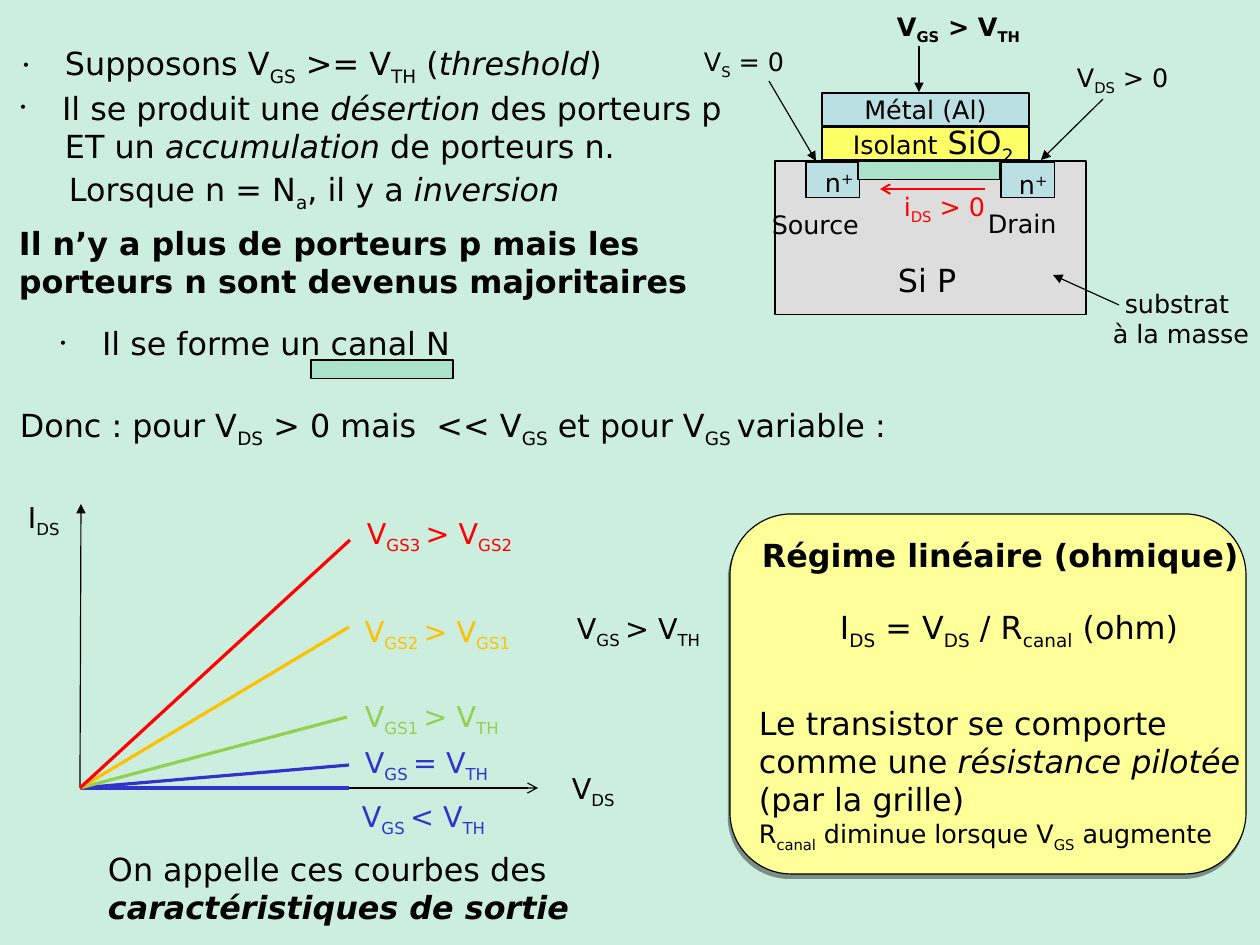
from lxml.etree import SubElement
from pptx import Presentation
from pptx.dml.color import RGBColor
from pptx.enum.shapes import MSO_CONNECTOR as Link, MSO_SHAPE as Preset
from pptx.enum.text import MSO_ANCHOR as Anchor, MSO_AUTO_SIZE as AutoSize, PP_ALIGN as Align
from pptx.oxml.ns import qn
from pptx.util import Emu, Pt

PX = 8000
FONT = "DejaVu Sans"
BLACK, RED, BLUE, GREEN, AMBER = "000000", "FF0000", "3333CC", "92D050", "FFC000"
METAL, CHANNEL = "BBE0E3", "AAE2CA"
MARKS = {"*": "italic", "~": "sub", "^": "super", "#": "large"}
BULLET = dict(margin=43, hanging=43, bullet=True)


def px(*lengths):
    return [Emu(length * PX) for length in lengths]


def color(hex_code):
    return RGBColor.from_string(hex_code)


def assign(target, values):
    for name, value in values.items():
        setattr(target, name, value)


def add_node(parent, tag, **values):
    return SubElement(parent, qn(tag), values)


def split_marks(markup):
    """Yield (text, active formats); each mark switches its format on or off."""
    active, text = set(), ""
    for letter in markup:
        if letter not in MARKS:
            text += letter
            continue
        if text:
            yield text, set(active)
        active ^= {MARKS[letter]}
        text = ""
    if text:
        yield text, active


class Painter:
    def __init__(self, page):
        self.page = page
        self.shapes = page.shapes

    def fill_text(self, box, paragraphs, anchor=Anchor.TOP, wrap=True, **style):
        """Fill a shape with marked-up paragraphs, each a string or (string, style)."""
        frame = box.text_frame
        side, end = px(11, 6)
        assign(frame, dict(word_wrap=wrap, auto_size=AutoSize.NONE, vertical_anchor=anchor,
                           margin_left=side, margin_right=side,
                           margin_top=end, margin_bottom=end))
        for index, item in enumerate(paragraphs):
            markup, own = (item, {}) if isinstance(item, str) else item
            para = frame.add_paragraph() if index else frame.paragraphs[0]
            self.fill_para(para, markup, **{**style, **own})

    def fill_para(self, para, markup, size=16, bold=False, ink=BLACK, align=Align.LEFT,
                  spacing=1.0, before=0, margin=0, hanging=0, bullet=False):
        assign(para, dict(alignment=align, line_spacing=spacing,
                          space_before=Pt(before), space_after=Pt(0)))
        props = para._p.get_or_add_pPr()
        props.set("marL", str(margin * PX))
        props.set("indent", str(-hanging * PX))
        if bullet:
            add_node(add_node(props, "a:buClr"), "a:srgbClr", val=BLACK)
            add_node(props, "a:buSzPct", val="45000")
            add_node(props, "a:buFont", typeface=FONT)
            add_node(props, "a:buChar", char="•")
        else:
            add_node(props, "a:buNone")
        for text, formats in split_marks(markup):
            span = para.add_run()
            span.text = text
            assign(span.font, dict(name=FONT, size=Pt(20 if "large" in formats else size),
                                   bold=bold, italic="italic" in formats))
            span.font.color.rgb = color(ink)
            if "sub" in formats:
                span.font._element.set("baseline", "-25000")
            if "super" in formats:
                span.font._element.set("baseline", "30000")

    def label(self, bounds, *paragraphs, **style):
        self.fill_text(self.shapes.add_textbox(*px(*bounds)), paragraphs, **style)

    def placeholder(self, box, bounds, *paragraphs, **style):
        """Move a template placeholder to the front and fill it."""
        assign(box, dict(zip(("left", "top", "width", "height"), px(*bounds))))
        self.shapes._spTree.append(box._element)
        self.fill_text(box, paragraphs, **style)

    def block(self, bounds, fill, preset=Preset.RECTANGLE):
        box = self.shapes.add_shape(preset, *px(*bounds))
        box.shadow.inherit = False
        box.fill.solid()
        box.fill.fore_color.rgb = color(fill)
        box.line.color.rgb = color(BLACK)
        box.line.width = Pt(0.75)
        return box

    def line(self, start, end, ink=BLACK, width=0.75, head=None):
        link = self.shapes.add_connector(Link.STRAIGHT, *px(*start, *end))
        link.line.color.rgb = color(ink)
        link.line.width = Pt(width)
        if head:
            add_node(link.line._get_or_add_ln(), "a:tailEnd", type=head)
        add_node(link._element.spPr, "a:effectLst")


def draw_transistor(painter):
    painter.block((775, 161, 311, 154), "DDDDDD")
    painter.label((887, 255, 86, 50), "Si P", size=20)
    for left, text_left, text_top in ((806, 814, 161), (1001, 1008, 163)):
        painter.block((left, 162, 54, 36), METAL)
        painter.label((text_left, text_top, 56, 42), "n^+^")
    painter.block((822, 127, 207, 33), "FFFF66")
    painter.label((842, 117, 188, 55), "Isolant# SiO~2~#")
    metal = painter.block((822, 93, 207, 33), METAL)
    painter.fill_text(metal, ["Métal (Al)"], anchor=Anchor.MIDDLE, align=Align.CENTER)
    painter.label((761, 203, 115, 42), "Source")
    painter.label((977, 202, 96, 42), "Drain")
    painter.label((886, 5, 150, 47), "V~GS~ > V~TH~", bold=True)
    painter.label((693, 40, 108, 47), "V~S~ = 0")
    painter.label((1066, 56, 118, 47), "V~DS~ > 0")
    painter.label((1102, 282, 158, 73), "substrat ", "à la masse",
                  align=Align.CENTER, wrap=False)
    for start, end in (((919, 46), (919, 92)), ((769, 81), (816, 161)),
                       ((1103, 99), (1041, 160)), ((1119, 305), (1053, 275))):
        painter.line(start, end, head="triangle")
    painter.block((858, 161, 142, 19), CHANNEL)
    painter.line((985, 189), (880, 189), RED, 1.25, "arrow")
    painter.label((893, 185, 108, 47), "i~DS~ > 0", ink=RED)


def draw_reasoning(painter, bodies):
    lists = (
        ((11, 38, 606, 55), [("Supposons V~GS~ >= V~TH~ (*threshold*)", BULLET)], False),
        ((8, 83, 734, 136), [("Il se produit une *désertion* des porteurs p", BULLET),
                             ("ET un *accumulation *de porteurs n.", dict(margin=46)),
                             ("Lorsque n = N~a~, il y a* inversion*",
                              dict(margin=50, before=3))], False),
        ((8, 218, 740, 88), ["Il n’y a plus de porteurs p mais les",
                             "porteurs n sont devenus majoritaires"], True),
        ((48, 318, 430, 50), [("Il se forme un canal N", BULLET)], False),
    )
    for body, (bounds, paragraphs, bold) in zip(bodies, lists):
        painter.placeholder(body, bounds, *paragraphs, size=20, bold=bold)
    painter.block((311, 360, 142, 19), CHANNEL)
    painter.label((9, 400, 901, 55),
                  "Donc : pour V~DS~ > 0 mais  << V~GS~ et pour V~GS ~variable :", size=20)


def draw_output_curves(painter):
    origin = (80, 788)
    painter.line(origin, (81, 504), head="triangle")
    painter.line(origin, (538, 788), head="arrow")
    for bounds, text in (((561, 765, 70, 49), "V~DS~"), ((17, 494, 60, 49), "I~DS~"),
                         ((566, 605, 152, 49), "V~GS ~> V~TH~")):
        painter.label(bounds, text, size=18, spacing=0.97)
    curves = (
        ((349, 788), (351, 793), "V~GS ~< V~TH~", BLUE),
        ((349, 765), (354, 739), "V~GS ~= V~TH~", BLUE),
        ((347, 717), (354, 693), "V~GS1 ~> V~TH~", GREEN),
        ((349, 627), (354, 608), "V~GS2 ~> V~GS1~", AMBER),
        ((350, 540), (356, 510), "V~GS3 ~> V~GS2~", RED),
    )
    for end, corner, text, ink in curves:
        painter.line(origin, end, ink, 2)
        painter.label((*corner, 172, 49), text, size=18, ink=ink, spacing=0.97)
    painter.label((97, 844, 490, 88), "On appelle ces courbes des",
                  ("*caractéristiques de sortie*", dict(bold=True)), size=20)


def draw_linear_regime(painter, title):
    panel = painter.block((730, 514, 516, 360), "FFFF99", Preset.ROUNDED_RECTANGLE)
    panel.adjustments[0] = 0.17
    effects = panel._element.spPr.find(qn("a:effectLst"))
    shadow = add_node(effects, "a:outerShdw", blurRad="0", dist=str(Pt(3)), dir="6600000",
                      algn="ctr", rotWithShape="0")
    add_node(add_node(shadow, "a:srgbClr", val=BLACK), "a:alpha", val="40000")
    painter.placeholder(title, (751, 530, 505, 50), "Régime linéaire (ohmique)",
                        size=20, bold=True)
    painter.label((829, 602, 366, 55), "I~DS~ = V~DS~ / R~canal~ (ohm)", size=20)
    painter.label((748, 698, 508, 161), "Le transistor se comporte",
                  "comme une *résistance pilotée*", "(par la grille)",
                  ("R~canal~ diminue lorsque V~GS~ augmente", dict(size=16)), size=20)


def main():
    deck = Presentation()
    deck.slide_width, deck.slide_height = px(1260, 945)
    page = deck.slides.add_slide(deck.slide_layouts.get_by_name("Comparison"))
    page.background.fill.solid()
    page.background.fill.fore_color.rgb = color("CCEEDF")
    title, *bodies = list(page.placeholders)[:5]
    painter = Painter(page)
    draw_transistor(painter)
    draw_reasoning(painter, bodies)
    draw_output_curves(painter)
    draw_linear_regime(painter, title)
    deck.save("out.pptx")


if __name__ == "__main__":
    main()
